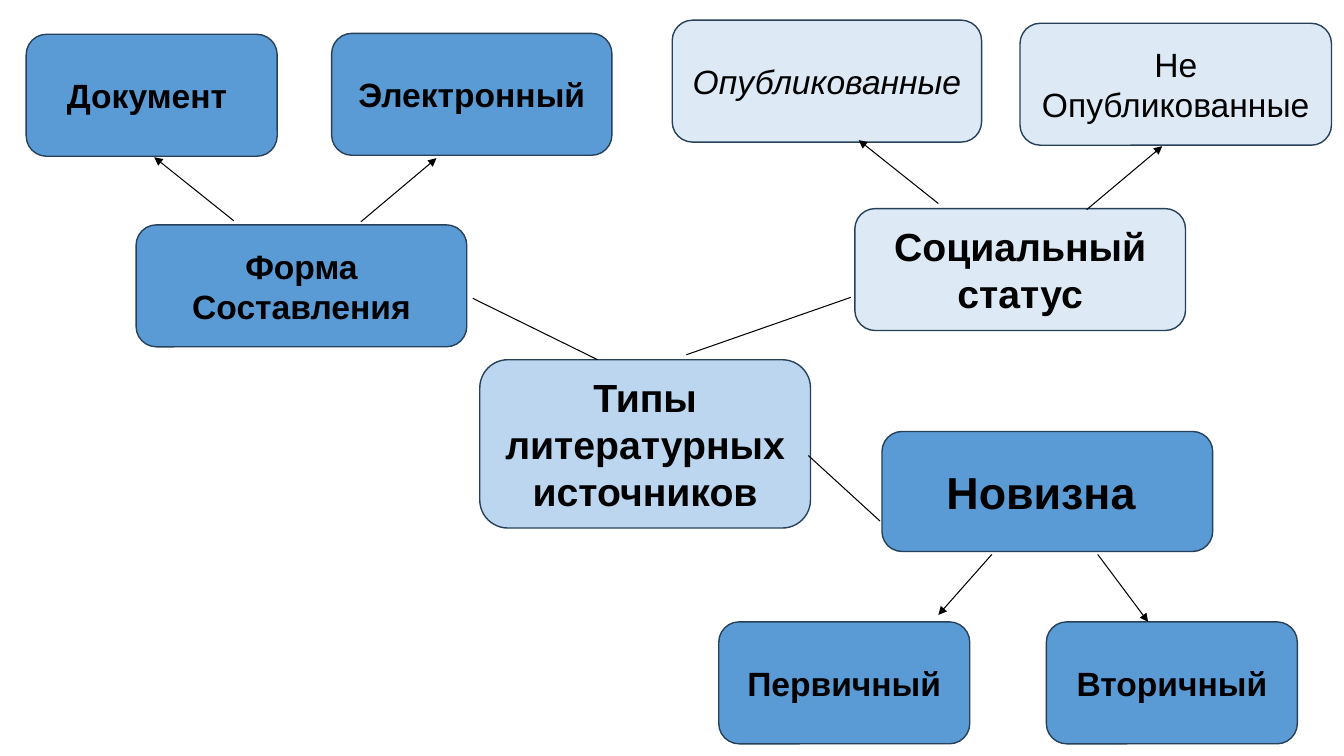
"""Build a one-slide map of the types of literary sources."""
from dataclasses import dataclass

from pptx import Presentation
from pptx import util as u
from pptx.dml.color import RGBColor
from pptx.enum import shapes, text
from pptx.oxml.ns import qn
from lxml import etree


@dataclass(frozen=True)
class Theme:
    font: str = "Arial"
    ink: str = "000000"
    outline: str = "264159"
    core: str = "BBD6EE"
    strong: str = "5B9BD5"
    pale: str = "DDEAF6"
    leaf_size: int = 24
    topic_size: int = 28
    large_size: int = 32
    outline_width: float = 1
    link_width: float = 0.75


THEME = Theme()
SLIDE_SIZE = (960, 540)
TOPIC_WIDTH = 236.2
LEAF_WIDTH = 179.3
NODE_HEIGHT = 87.1

# fmt: off
NODES = [
    (["Типы литературных источников"], 342.7, 257, TOPIC_WIDTH, 120.2, THEME.core, THEME.topic_size, "bold"),
    (["Социальный статус"], 610.6, 149, TOPIC_WIDTH, NODE_HEIGHT, THEME.pale, THEME.topic_size, "bold"),
    (["Форма Составления"], 97.2, 160.6, TOPIC_WIDTH, NODE_HEIGHT, THEME.strong, THEME.leaf_size, "bold"),
    (["Новизна "], 630, 308.2, TOPIC_WIDTH, 85.7, THEME.strong, THEME.large_size, "bold"),
    (["Документ "], 18.7, 24.5, LEAF_WIDTH, NODE_HEIGHT, THEME.strong, THEME.leaf_size, "bold"),
    (["Электронный"], 236.9, 23.8, 200.2, NODE_HEIGHT, THEME.strong, THEME.leaf_size, "bold"),
    (["Не", "Опубликованные"], 728.6, 16.6, 222.5, NODE_HEIGHT, THEME.pale, THEME.leaf_size, "plain"),
    (["Опубликованные "], 480.2, 14.4, 221, NODE_HEIGHT, THEME.pale, THEME.leaf_size, "italic"),
    (["Первичный"], 513.4, 444.2, LEAF_WIDTH, NODE_HEIGHT, THEME.strong, THEME.leaf_size, "bold"),
    (["Вторичный"], 747.4, 444.2, LEAF_WIDTH, NODE_HEIGHT, THEME.strong, THEME.leaf_size, "bold"),
]
# fmt: on

BRANCHES = [
    (490.3, 253.4, 607.7, 212.4),
    (427, 257, 337.7, 213.1),
    (577.4, 325.4, 628.6, 372.2),
]
ARROWS = [
    (167, 157.7, 110.2, 112.3),
    (257.8, 158.4, 311.8, 113),
    (670.3, 145.4, 613.4, 100.1),
    (708.5, 396, 670.3, 439.2),
    (784.1, 396, 820.1, 444.2),
    (776.2, 149.8, 830.2, 104.4),
]


def color(code):
    return RGBColor.from_string(code)


def add_node(slide, lines, left, top, width, height, fill, size, style):
    node = slide.shapes.add_shape(
        shapes.MSO_SHAPE.ROUNDED_RECTANGLE, *map(u.Pt, (left, top, width, height))
    )
    node.shadow.inherit = False
    node.fill.solid()
    node.fill.fore_color.rgb = color(fill)
    node.line.color.rgb = color(THEME.outline)
    node.line.width = u.Pt(THEME.outline_width)
    frame = node.text_frame
    frame.word_wrap = True
    frame.vertical_anchor = text.MSO_ANCHOR.MIDDLE
    for index, line in enumerate(lines):
        paragraph = frame.add_paragraph() if index else frame.paragraphs[0]
        paragraph.alignment = text.PP_ALIGN.CENTER
        run = paragraph.add_run()
        run.text = line
        run.font.name = THEME.font
        run.font.size = u.Pt(size)
        run.font.bold = style == "bold"
        run.font.italic = style == "italic"
        run.font.color.rgb = color(THEME.ink)


def add_link(slide, ends, arrow):
    link = slide.shapes.add_connector(
        shapes.MSO_CONNECTOR.STRAIGHT, *map(u.Pt, ends)
    )
    link.line.color.rgb = color(THEME.ink)
    link.line.width = u.Pt(THEME.link_width)
    properties = link._element.spPr
    if arrow:
        etree.SubElement(properties.find(qn("a:ln")), qn("a:tailEnd"), type="triangle")
    etree.SubElement(properties, qn("a:effectLst"))


def main():
    deck = Presentation()
    deck.slide_width, deck.slide_height = map(u.Pt, SLIDE_SIZE)
    slide = deck.slides.add_slide(deck.slide_layouts[6])
    for node in NODES:
        add_node(slide, *node)
    for links, arrow in ((BRANCHES, False), (ARROWS, True)):
        for ends in links:
            add_link(slide, ends, arrow)
    deck.save("out.pptx")


if __name__ == "__main__":
    main()
